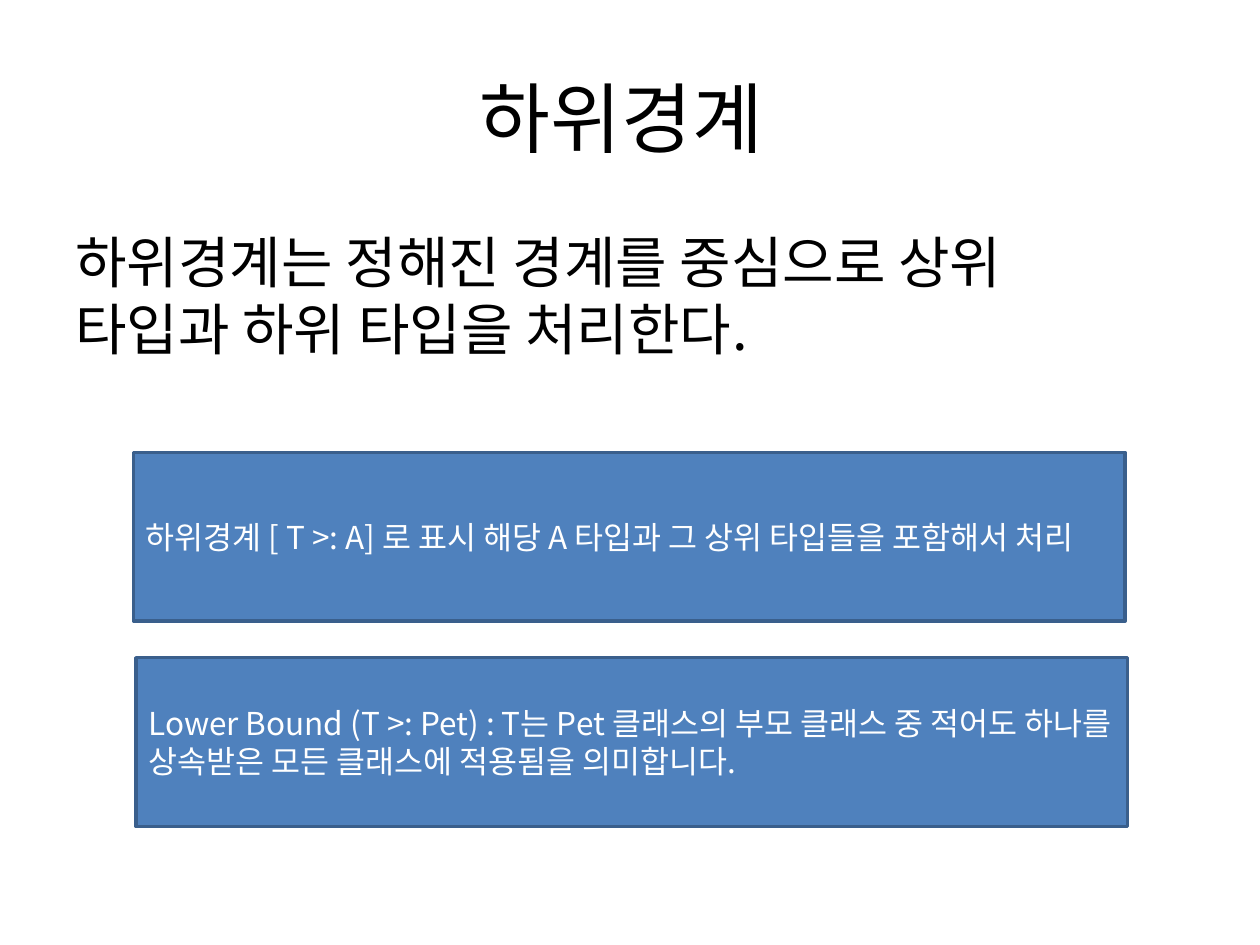
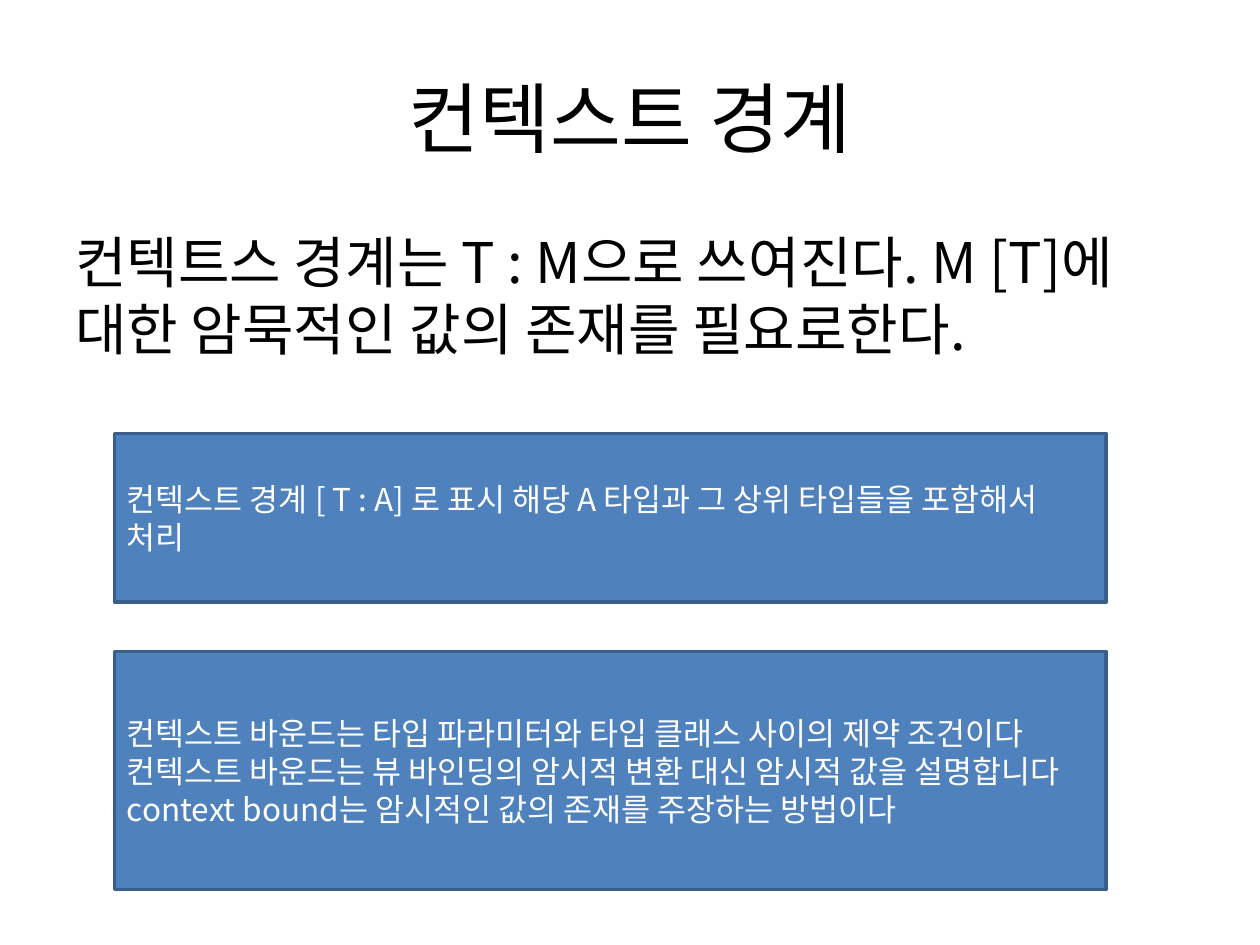
from dataclasses import dataclass

from pptx import Presentation
from pptx.dml.color import RGBColor
from pptx.enum.shapes import MSO_SHAPE
from pptx.enum.text import MSO_ANCHOR, PP_ALIGN
from pptx.oxml.ns import qn
from pptx.slide import Slide
from pptx.text.text import TextFrame
from pptx.util import Inches, Pt

WIDE, HIGH = 10, 7.5
FONT = "Noto Sans CJK KR"
HUES = {"ink": "000000", "page": "FFFFFF", "fill": "4F81BD", "edge": "3A5F8C"}
LEAD = 1.21
TITLE = (0.05, 0.04, 0.9, 1 / 6)
BODY = (0.05, 0.2333, 0.883, 0.2667)
SPAN = 0.787


@dataclass
class Box:
    left: float
    top: float
    high: float
    lines: list[str]


@dataclass
class Page:
    title: str
    body: str
    boxes: list[Box]


PAGES = [
    Page(
        "하위경계 ",
        "하위경계는 정해진 경계를 중심으로 상위 타입과 하위 타입을 처리한다.",
        [
            Box(0.106, 0.4787, 0.1787, [
                "하위경계 [ T >: A] 로 표시 해당 A 타입과 그 상위 타입들을 포함해서 처리",
            ]),
            Box(0.108, 0.696, 0.1787, [
                "Lower Bound (T >: Pet) : T는 Pet 클래스의 부모 클래스 중 적어도 "
                "하나를 상속받은 모든 클래스에 적용됨을 의미합니다.",
            ]),
        ],
    ),
    Page(
        "컨텍스트 경계",
        "컨텍트스 경계는 T : M으로 쓰여진다. M [T]에 대한 암묵적인 값의 존재를 필요로한다.",
        [
            Box(0.091, 0.4587, 0.1787, [
                "컨텍스트 경계 [ T : A] 로 표시 해당 A 타입과 그 상위 타입들을 포함해서 처리",
            ]),
            Box(0.091, 0.6893, 0.252, [
                "컨텍스트 바운드는 타입 파라미터와 타입 클래스 사이의 제약 조건이다",
                "컨텍스트 바운드는 뷰 바인딩의 암시적 변환 대신 암시적 값을 설명합니다",
                "context bound는 암시적인 값의 존재를 주장하는 방법이다",
            ]),
        ],
    ),
]


def hue(name: str) -> RGBColor:
    return RGBColor.from_string(HUES[name])


def place(left: float, top: float, wide: float, high: float) -> tuple:
    return (Inches(left * WIDE), Inches(top * HIGH),
            Inches(wide * WIDE), Inches(high * HIGH))


def write(frame: TextFrame, lines: list[str], *, size: int, tint: str = "ink",
          align: PP_ALIGN = PP_ALIGN.LEFT,
          anchor: MSO_ANCHOR = MSO_ANCHOR.MIDDLE) -> None:
    frame.word_wrap = True
    frame.vertical_anchor = anchor
    for spot, line in enumerate(lines):
        para = frame.add_paragraph() if spot else frame.paragraphs[0]
        para.alignment = align
        para.line_spacing = Pt(round(size * LEAD, 1))
        run = para.add_run()
        run.text = line
        run.font.size = Pt(size)
        run.font.name = FONT
        run.font.color.rgb = hue(tint)
        east = run.font._element.makeelement(qn("a:ea"), {"typeface": FONT})
        run.font._element.find(qn("a:latin")).addnext(east)


def draw_box(slide: Slide, box: Box) -> None:
    shape = slide.shapes.add_shape(
        MSO_SHAPE.RECTANGLE, *place(box.left, box.top, SPAN, box.high))
    shape.shadow.inherit = False
    shape.fill.solid()
    shape.fill.fore_color.rgb = hue("fill")
    shape.line.color.rgb = hue("edge")
    shape.line.width = Pt(2)
    write(shape.text_frame, box.lines, size=18, tint="page")


def draw_page(deck: Presentation, page: Page) -> None:
    slide = deck.slides.add_slide(deck.slide_layouts[5])
    slide.background.fill.solid()
    slide.background.fill.fore_color.rgb = hue("page")
    title = slide.shapes.title
    title.left, title.top, title.width, title.height = place(*TITLE)
    write(title.text_frame, [page.title], size=44, align=PP_ALIGN.CENTER)
    body = slide.shapes.add_textbox(*place(*BODY))
    write(body.text_frame, [page.body], size=32, anchor=MSO_ANCHOR.TOP)
    for box in page.boxes:
        draw_box(slide, box)


def main() -> None:
    deck = Presentation()
    deck.slide_width, deck.slide_height = Inches(WIDE), Inches(HIGH)
    for page in PAGES:
        draw_page(deck, page)
    deck.save("out.pptx")


if __name__ == "__main__":
    main()
